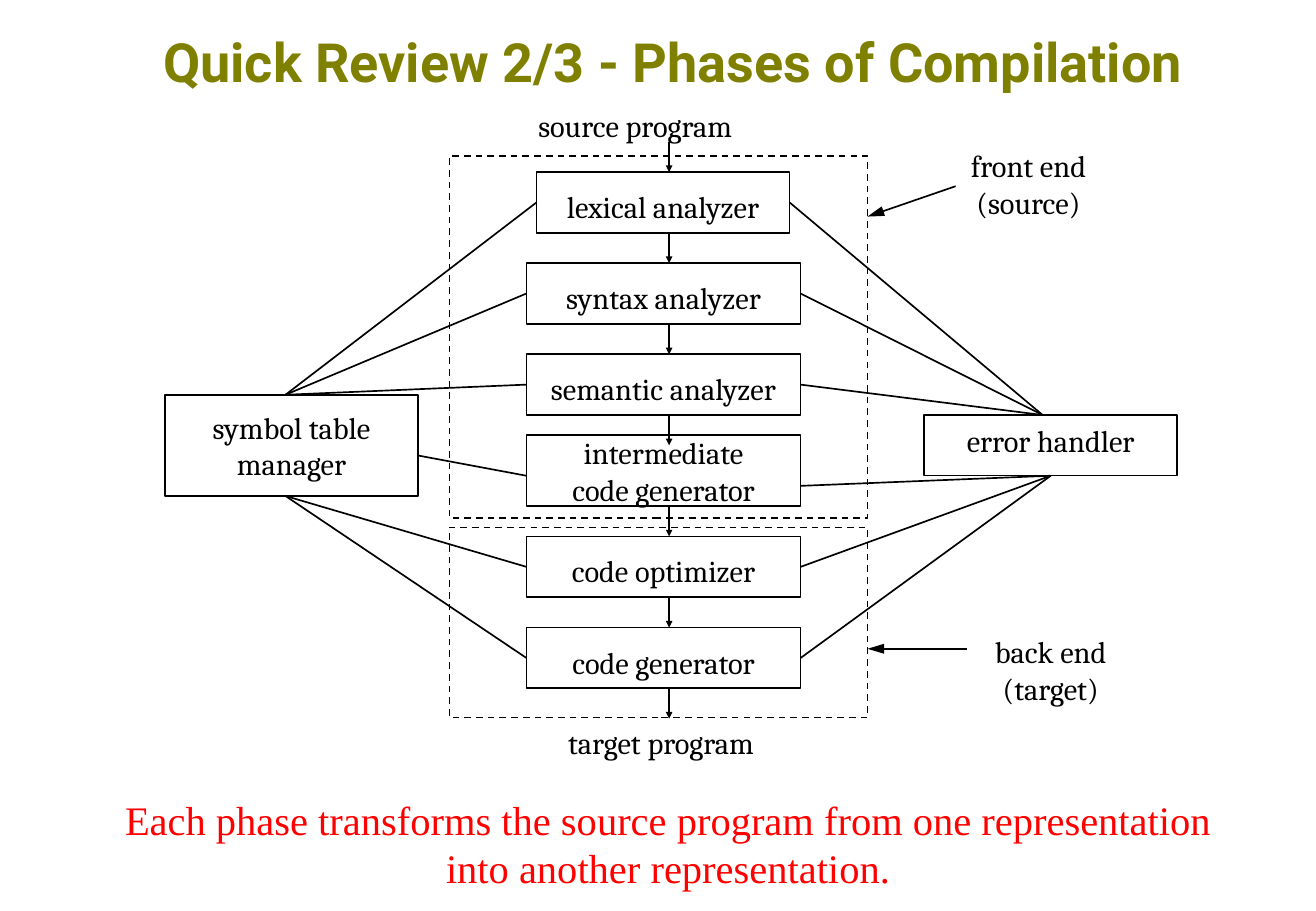
from dataclasses import dataclass

from pptx import Presentation
from pptx import util as u
from pptx.dml.color import RGBColor
from pptx.enum import dml, shapes, text
from pptx.oxml.ns import qn
from lxml import etree

LEFT, BOTTOM, RIGHT = 1, 2, 3  # connection sites of a rectangle


@dataclass(frozen=True)
class Theme:
    px: int = 7620  # 120 px to the inch
    ink: RGBColor = RGBColor(0, 0, 0)
    heading: RGBColor = RGBColor(0x80, 0x80, 0)
    accent: RGBColor = RGBColor(0xFF, 0, 0)
    line: int = 1
    heading_size: int = 32
    summary_size: int = 24
    body_size: int = 18
    heading_font: str = "Roboto"
    summary_font: str = "Times New Roman"
    body_font: str = "Cambria"


class Diagram:
    def __init__(self, slide, theme):
        self.slide, self.theme = slide, theme

    def emu(self, *lengths):
        return [u.Emu(n * self.theme.px) for n in lengths]

    def set_words(self, shape, words, font=None, size=None, color=None, bold=False):
        """Put one centred paragraph per line of words into the shape."""
        frame = shape.text_frame
        frame.word_wrap = True
        frame.text = words
        for paragraph in frame.paragraphs:
            paragraph.alignment = text.PP_ALIGN.CENTER
            paragraph.font.name = font or self.theme.body_font
            paragraph.font.size = u.Pt(size or self.theme.body_size)
            paragraph.font.color.rgb = color or self.theme.ink
            paragraph.font.bold = bold
        return frame

    def label(self, words, *bounds, **style):
        return self.set_words(self.slide.shapes.add_textbox(*self.emu(*bounds)), words, **style)

    def box(self, *bounds, words="", drop=0, dashed=False):
        """Draw an outlined rectangle; drop lowers its text from the middle."""
        box = self.slide.shapes.add_shape(shapes.MSO_SHAPE.RECTANGLE, *self.emu(*bounds))
        box.shadow.inherit = False
        box.fill.background()
        self.outline(box.line)
        if dashed:
            box.line.dash_style = dml.MSO_LINE.DASH
        if words:
            frame = self.set_words(box, words)
            frame.vertical_anchor = text.MSO_ANCHOR.MIDDLE
            frame.margin_top, frame.margin_bottom = self.emu(max(2 * drop, 0), max(-2 * drop, 0))
        return box

    def outline(self, line):
        line.color.rgb = self.theme.ink
        line.width = u.Pt(self.theme.line)

    def line(self, start, end, begin=None, finish=None, head=None):
        """Join two points; begin and finish are (shape, site), head is (width, length)."""
        line = self.slide.shapes.add_connector(
            shapes.MSO_CONNECTOR.STRAIGHT, *self.emu(*start, *end))
        self.outline(line.line)
        if begin:
            line.begin_connect(*begin)
        if finish:
            line.end_connect(*finish)
        properties = line._element.spPr
        if head:
            etree.SubElement(properties.find(qn("a:ln")), qn("a:tailEnd"),
                             type="triangle", w=head[0], len=head[1])
        etree.SubElement(properties, qn("a:effectLst"))


def main():
    theme = Theme()
    deck = Presentation()
    deck.slide_width, deck.slide_height = u.Emu(1300 * theme.px), u.Emu(900 * theme.px)
    diagram = Diagram(deck.slides.add_slide(deck.slide_layouts[6]), theme)

    heading = diagram.label("Quick Review 2/3 - Phases of Compilation", 50, 20, 1230, 80,
                            font=theme.heading_font, size=theme.heading_size,
                            color=theme.heading, bold=True)
    heading.vertical_anchor = text.MSO_ANCHOR.MIDDLE

    # Front end and back end
    diagram.box(444, 154, 413, 358, dashed=True)
    diagram.box(444, 521, 413, 188, dashed=True)
    diagram.label("front end\n(source)", 942, 140, 148, 84)
    diagram.label("back end\n(target)", 966, 620, 144, 84)
    for start, end in (((944, 184), (857, 214)), ((955, 641), (857, 641))):
        diagram.line(start, end, head=("med", "lg"))

    # Phases, from source to target
    lexical = diagram.box(530, 170, 250, 60, words="lexical analyzer", drop=4)
    syntax, semantic, optimizer, generator = [
        diagram.box(520, top, 271, 60, words=words, drop=4)
        for words, top in (("syntax analyzer", 260), ("semantic analyzer", 350),
                           ("code optimizer", 530), ("code generator", 620))]
    diagram.box(520, 430, 271, 70, words="intermediate\ncode generator")
    diagram.label("source program", 510, 100, 235, 48)
    diagram.label("target program", 540, 710, 226, 48)
    for top in (140, 230, 320, 410, 500, 590, 680):
        diagram.line((661, top), (661, top + 30), head=("sm", "sm"))

    # Components shared by every phase
    diagram.box(163, 390, 250, 100, words="symbol table\nmanager")
    errors = diagram.box(913, 410, 250, 60, words="error handler", drop=-5)
    for phase in (lexical, syntax, semantic):
        diagram.line((282, 390), (520, 390), finish=(phase, LEFT))
        diagram.line((1030, 410), (791, 410), finish=(phase, RIGHT))
    for phase in (optimizer, generator):
        diagram.line((282, 490), (520, 490), finish=(phase, LEFT))
        diagram.line((1038, 470), (791, 470), begin=(errors, BOTTOM), finish=(phase, RIGHT))
    diagram.line((413, 450), (520, 470))
    diagram.line((1038, 470), (791, 480), begin=(errors, BOTTOM))

    diagram.label("Each phase transforms the source program from one representation\n"
                  "into another representation.", 31, 779, 1258, 109,
                  font=theme.summary_font, size=theme.summary_size, color=theme.accent)
    deck.save("out.pptx")


if __name__ == "__main__":
    main()
